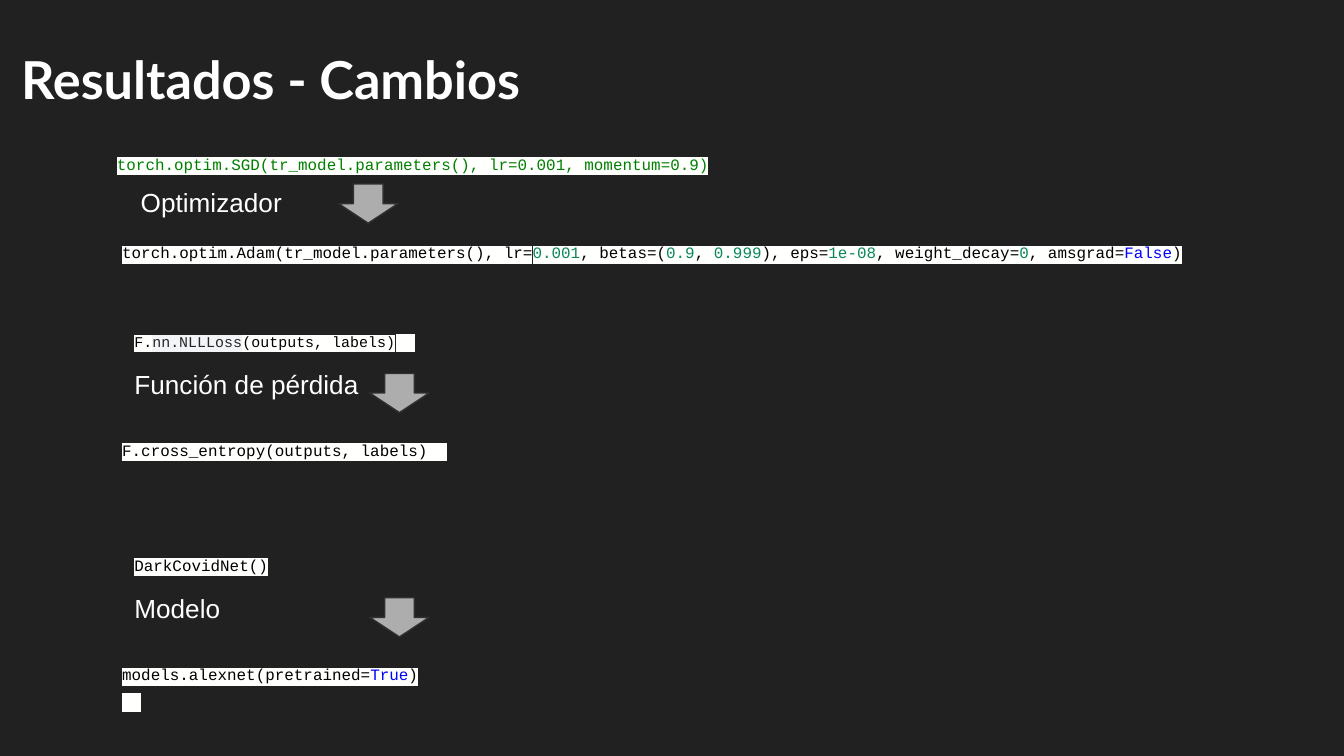
from dataclasses import dataclass

from lxml import etree
from pptx import Presentation
from pptx.dml.color import RGBColor
from pptx.enum.shapes import MSO_SHAPE
from pptx.oxml.ns import qn
from pptx.util import Cm, Pt

DOWN_ARROW = MSO_SHAPE.DOWN_ARROW


@dataclass(frozen=True)
class Theme:
    background: str = "212121"
    light: str = "FFFFFF"
    code: str = "000000"
    number: str = "09885A"
    keyword: str = "0000FF"
    string: str = "008000"
    muted: str = "262626"
    highlight: str = "FFFFFE"
    muted_highlight: str = "F3F4F7"
    arrow: str = "ADADAD"
    arrow_line: str = "303030"
    title_font: str = "Lato"
    label_font: str = "Arial"
    code_font: str = "Courier New"
    title_size: float = 28
    label_size: float = 14
    code_size: float = 8.5
    small_code_size: float = 8
    code_spacing: float = 1.36


THEME = Theme()


@dataclass(frozen=True)
class Code:
    text: str
    color: str = THEME.code
    size: float = THEME.code_size
    highlight: str = THEME.highlight


@dataclass(frozen=True)
class Change:
    label: str
    before: list
    after: list
    before_at: tuple
    label_at: tuple
    arrow_at: tuple
    after_at: tuple
    code_width: float = 7.65


def number(text):
    return Code(text, THEME.number)


def keyword(text):
    return Code(text, THEME.keyword)


def loss_and_model_places(top):
    return {
        "before_at": (2.29, top),
        "label_at": (2.29, top + 0.82),
        "arrow_at": (6.99, top + 1.17),
        "after_at": (2.06, top + 2.06),
    }


CHANGES = [
    Change(
        "Optimizador",
        [[Code("torch.optim.SGD(tr_model.parameters(), lr=0.001, momentum=0.9)", THEME.string)]],
        [[
            Code("torch.optim.Adam(tr_model.parameters(), lr="), number("0.001"),
            Code(", betas=("), number("0.9"), Code(", "), number("0.999"),
            Code("), eps="), number("1e-08"), Code(", weight_decay="), number("0"),
            Code(", amsgrad="), keyword("False"), Code(")"),
        ]],
        before_at=(1.96, 2.54),
        label_at=(2.41, 3.28),
        arrow_at=(6.4, 3.48),
        after_at=(2.06, 4.22),
        code_width=22.07,
    ),
    Change(
        "Función de pérdida",
        [[
            Code("F.", size=THEME.small_code_size),
            Code("nn.NLLLoss", THEME.muted, THEME.small_code_size, THEME.muted_highlight),
            Code("(outputs, labels)", size=THEME.small_code_size),
            Code("  "),
        ]],
        [[Code("F.cross_entropy(outputs, labels)  ")]],
        **loss_and_model_places(5.89),
    ),
    Change(
        "Modelo",
        [[Code("DarkCovidNet()")]],
        [[Code("models.alexnet(pretrained="), keyword("True"), Code(")")], [Code("  ")]],
        **loss_and_model_places(10.13),
    ),
]


def add_text_frame(slide, position, width, height):
    left, top = position
    shape = slide.shapes.add_textbox(Cm(left), Cm(top), Cm(width), Cm(height))
    text_frame = shape.text_frame
    text_frame.word_wrap = True
    text_frame.margin_left = text_frame.margin_right = Cm(0.25)
    text_frame.margin_top = text_frame.margin_bottom = Cm(0.25)
    return text_frame


def format_font(font, name, size, color, bold=False):
    font.name = name
    font.size = Pt(size)
    font.bold = bold
    font.color.rgb = RGBColor.from_string(color)


def highlight_run(run, color):
    highlight = etree.Element(qn("a:highlight"))
    etree.SubElement(highlight, qn("a:srgbClr"), val=color)
    run._r.get_or_add_rPr().find(qn("a:solidFill")).addnext(highlight)


def add_text(slide, text, position, width, height, font_name, size, bold=False):
    text_frame = add_text_frame(slide, position, width, height)
    text_frame.text = text
    run = text_frame.paragraphs[0].runs[0]
    format_font(run.font, font_name, size, THEME.light, bold)


def add_code(slide, lines, position, width):
    text_frame = add_text_frame(slide, position, width, 0.86)
    for index, line in enumerate(lines):
        paragraph = text_frame.add_paragraph() if index else text_frame.paragraphs[0]
        paragraph.line_spacing = THEME.code_spacing
        for code in line:
            run = paragraph.add_run()
            run.text = code.text
            format_font(run.font, THEME.code_font, code.size, code.color)
            highlight_run(run, code.highlight)


def add_arrow(slide, position):
    left, top = position
    shape = slide.shapes.add_shape(DOWN_ARROW, Cm(left), Cm(top), Cm(1.12), Cm(0.74))
    shape.shadow.inherit = False
    shape.fill.solid()
    shape.fill.fore_color.rgb = RGBColor.from_string(THEME.arrow)
    shape.line.color.rgb = RGBColor.from_string(THEME.arrow_line)
    shape.line.width = Pt(0.75)


def add_change(slide, change):
    add_text(slide, change.label, change.label_at, 12.29, 1.42,
             THEME.label_font, THEME.label_size)
    add_code(slide, change.before, change.before_at, change.code_width)
    add_arrow(slide, change.arrow_at)
    add_code(slide, change.after, change.after_at, change.code_width)


def main():
    presentation = Presentation()
    presentation.slide_width = Cm(25.4)
    presentation.slide_height = Cm(14.29)
    slide = presentation.slides.add_slide(presentation.slide_layouts[6])
    slide.background.fill.solid()
    slide.background.fill.fore_color.rgb = RGBColor.from_string(THEME.background)
    add_text(slide, "Resultados - Cambios", (0.15, 0.64), 24.77, 1.6,
             THEME.title_font, THEME.title_size, bold=True)
    for change in CHANGES:
        add_change(slide, change)
    presentation.save("out.pptx")


if __name__ == "__main__":
    main()
